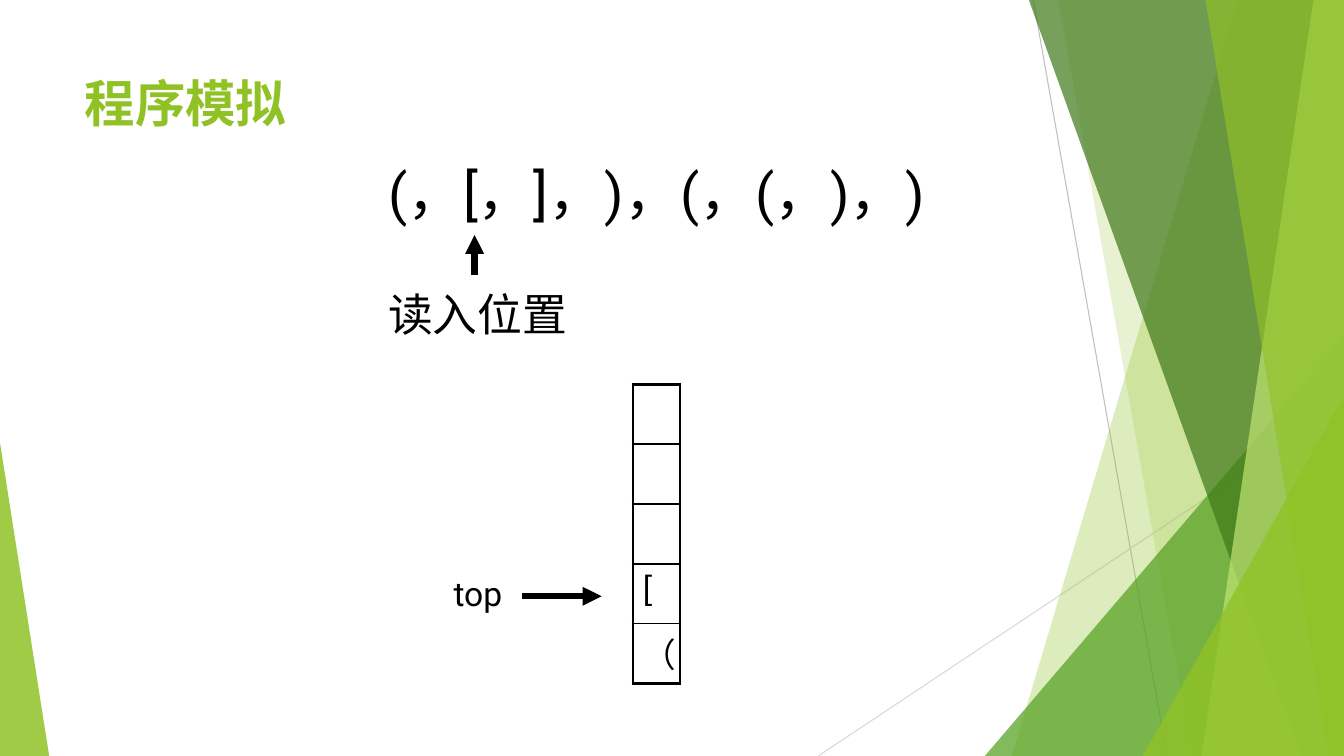
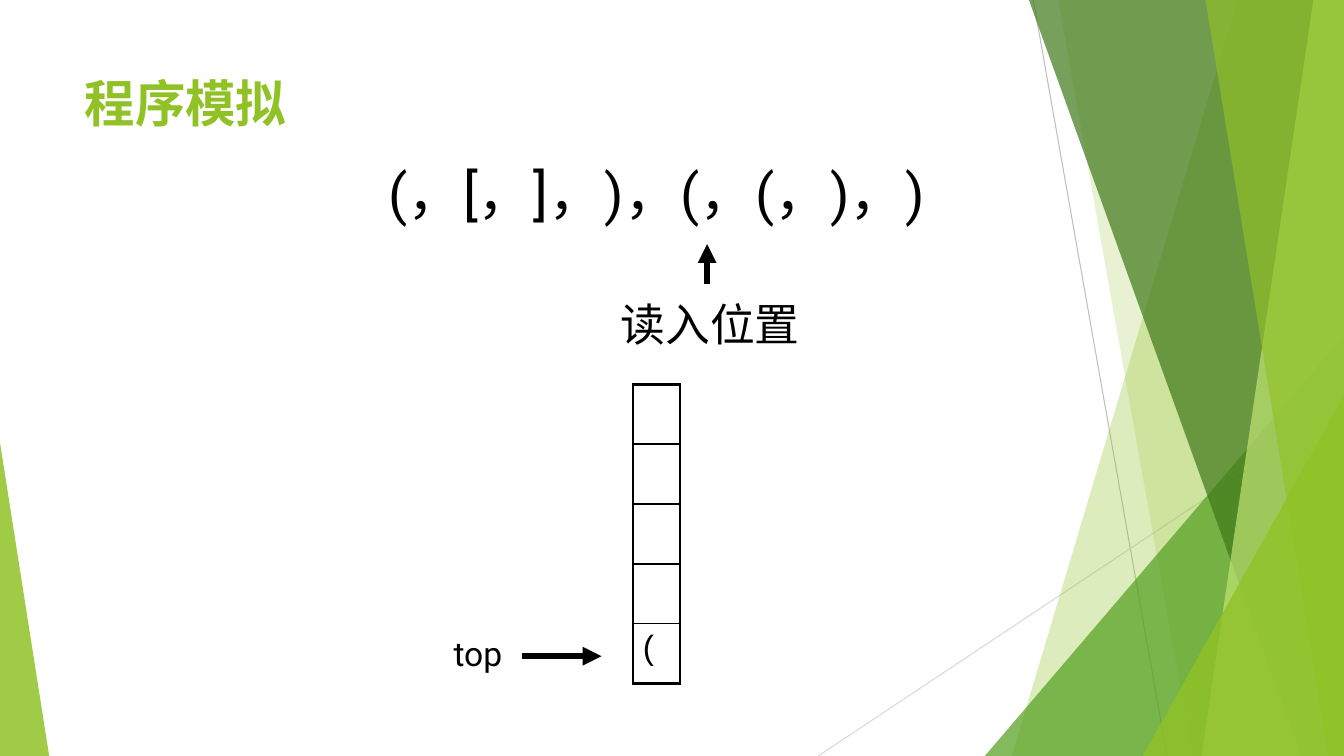
from pptx import Presentation
from pptx.dml.color import RGBColor as RGB
from pptx.enum.shapes import MSO_CONNECTOR as Link, MSO_SHAPE as Geo
from pptx.enum.text import MSO_ANCHOR as Anchor, MSO_AUTO_SIZE as Auto, PP_ALIGN as Align
from pptx.oxml import parse_xml
from pptx.oxml.ns import nsdecls, qn
from pptx.util import Cm, Pt
from lxml.etree import SubElement as Sub

BLACK = RGB(0, 0, 0)
GREEN = RGB(0x90, 0xC2, 0x26)
LEAF = RGB(0x54, 0xA0, 0x21)
DARK = RGB(0x3F, 0x78, 0x19)
LIME = RGB(0xC0, 0xE4, 0x74)
GREY = RGB(0xBF, 0xBF, 0xBF)
PALE = RGB(0xD9, 0xD9, 0xD9)

WIDE, HIGH = 33.87, 19.05
TITLE = "程序模拟"
INPUT = "(，[，]，)，(，(，)，)"
LABEL = "读入位置"

STEPS = [
    {"read": (9.53, 7.11), "stack": ["", "", "", "[", "（"], "top": 3},
    {"read": (15.39, 7.34), "stack": ["", "", "", "", "("], "top": 4},
]
RAYS = [
    ((26.04, 0), (29.41, HIGH), GREY),
    ((WIDE, 10.24), (20.62, HIGH), PALE),
]
PANES = [
    ("band", 31.19, 25.5, GREEN, 30),
    ("band", 26.67, 30.05, GREEN, 20),
    ("right", 24.82, 8.46, LEAF, 72),
    ("band", 25.93, 32.79, DARK, 70),
    ("band", 33.1, 30.28, LIME, 70),
    ("band", 30.38, 33.48, GREEN, 65),
    ("right", 28.8, 9.98, GREEN, 80),
    ("left", 1.24, 11.15, GREEN, 85),
]
FONTS = {
    "title": {"name": "Roboto", "size": Pt(36), "bold": True, "color": GREEN},
    "input": {"name": "Roboto", "size": Pt(40), "color": BLACK},
    "label": {"name": "Roboto", "size": Pt(32), "color": BLACK},
    "top": {"name": "Roboto", "size": Pt(24), "color": BLACK},
    "cell": {"name": "Arial", "size": Pt(24), "color": BLACK},
}
LEFT, TOP, CELL, ROW = 15.95, 9.68, 1.19, 1.51


def style(para, kind):
    for key, val in FONTS[kind].items():
        if key == "color":
            para.font.color.rgb = val
        else:
            setattr(para.font, key, val)


def line(slide, start, end, color, width, arrow=False):
    link = slide.shapes.add_connector(Link.STRAIGHT, *map(Cm, start + end))
    link.line.color.rgb = color
    link.line.width = Pt(width)
    if arrow:
        Sub(link.line._get_or_add_ln(), qn("a:tailEnd"), type="triangle")
    Sub(link._element.spPr, qn("a:effectLst"))
    return link


def pane(slide, kind, x, y, color, alpha):
    if kind == "band":
        form = slide.shapes.build_freeform(Cm(x), Cm(0), scale=1.0)
        edge = [(WIDE, 0), (WIDE, HIGH), (y, HIGH)]
        form.add_line_segments([(Cm(a), Cm(b)) for a, b in edge], close=True)
        shape = form.convert_to_shape()
    else:
        left, width = (x, WIDE - x) if kind == "right" else (0, x)
        shape = slide.shapes.add_shape(
            Geo.ISOSCELES_TRIANGLE, Cm(left), Cm(y), Cm(width), Cm(HIGH - y))
        shape.adjustments[0] = 1 if kind == "right" else 0
    shape.shadow.inherit = False
    shape.fill.solid()
    shape.fill.fore_color.rgb = color
    shape.line.fill.background()
    tint = shape._element.spPr.find(qn("a:solidFill"))[0]
    Sub(tint, qn("a:alpha"), val=str(alpha * 1000))
    return shape


def decor(slide, layout):
    parts = [line(slide, *ray, 0.75) for ray in RAYS]
    parts += [pane(slide, *item) for item in PANES]
    tree = layout.shapes.element
    for i, part in enumerate(parts):
        node = part._element
        node.xpath(".//p:cNvPr")[0].set("id", str(100 + i))
        tree.insert(2 + i, node)


def text(slide, words, kind, left, top, width, height):
    box = slide.shapes.add_textbox(*map(Cm, (left, top, width, height)))
    box.text_frame.word_wrap = True
    para = box.text_frame.paragraphs[0]
    para.text = words
    style(para, kind)


def border(cell, sides):
    props = cell._tc.get_or_add_tcPr()
    for i, (side, width) in enumerate(sides.items()):
        props.insert(i, parse_xml(
            f'<a:ln{side} {nsdecls("a")} w="{Pt(width)}"><a:solidFill>'
            f'<a:srgbClr val="{BLACK}"/></a:solidFill></a:ln{side}>'))


def stack(slide, items):
    last = len(items) - 1
    grid = slide.shapes.add_table(
        len(items), 1, Cm(LEFT), Cm(TOP), Cm(CELL), Cm(ROW * len(items))).table
    grid.first_row = grid.horz_banding = False
    for i, item in enumerate(items):
        cell = grid.cell(i, 0)
        cell.fill.background()
        cell.text = item
        style(cell.text_frame.paragraphs[0], "cell")
        border(cell, {"L": 2.25, "R": 2.25,
                      "T": 1 if i else 2.25, "B": 1 if i < last else 2.25})


def head(slide):
    title = slide.shapes.title
    spot = {"left": 1.88, "top": 1.7, "width": 23.88, "height": 3.66}
    for key, val in spot.items():
        setattr(title, key, Cm(val))
    frame = title.text_frame
    frame.text = TITLE
    frame.auto_size = Auto.NONE
    frame.vertical_anchor = Anchor.TOP
    frame.paragraphs[0].alignment = Align.LEFT
    style(frame.paragraphs[0], "title")


def build(slide, step):
    head(slide)
    stack(slide, step["stack"])
    text(slide, INPUT, "input", 9.53, 3.86, 16.56, 1.96)
    x, y = step["read"]
    line(slide, (x + 2.43, y - 0.19), (x + 2.43, y - 1.19), BLACK, 4.5, True)
    text(slide, LABEL, "label", x, y, 5.16, 3)
    mid = TOP + ROW * (step["top"] + 0.5) + 0.06
    text(slide, "top", "top", 11.18, mid - 0.71, 2.39, 1.3)
    line(slide, (13.16, mid), (15.16, mid), BLACK, 4.5, True)


def main():
    deck = Presentation()
    deck.slide_width, deck.slide_height = Cm(WIDE), Cm(HIGH)
    layout = deck.slide_layouts[5]
    for i, step in enumerate(STEPS):
        slide = deck.slides.add_slide(layout)
        if i == 0:
            decor(slide, layout)
        build(slide, step)
    deck.save("out.pptx")


if __name__ == "__main__":
    main()
